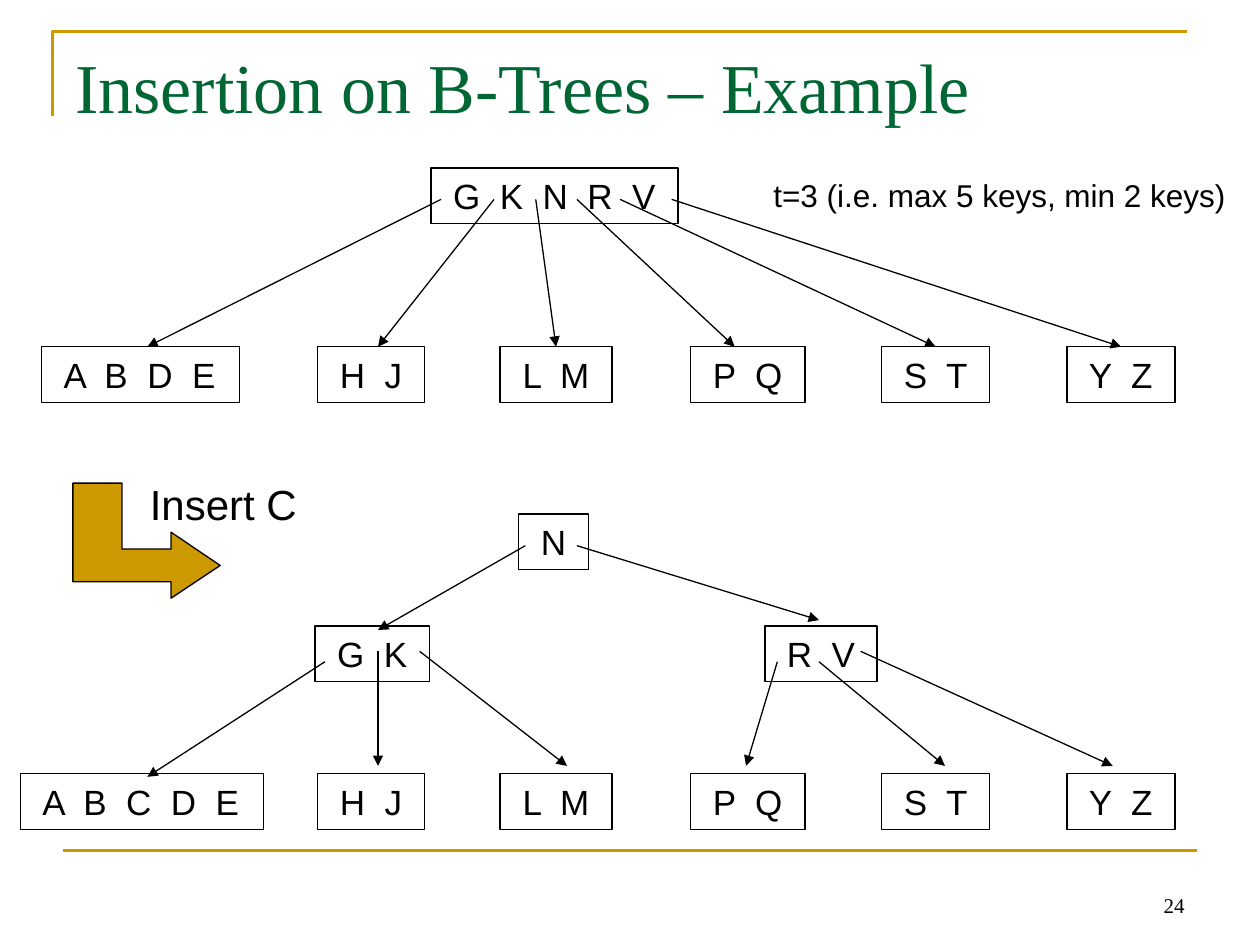
from pptx import Presentation
from pptx.dml.color import RGBColor
from pptx.enum.shapes import MSO_CONNECTOR as Link, MSO_SHAPE as Shape
from pptx.enum.text import MSO_ANCHOR as Anchor, PP_ALIGN as Align
from pptx.oxml.ns import qn
from pptx.util import Cm, Pt
from lxml.etree import SubElement

COLORS = {"ink": "000000", "gold": "CC9900", "green": "006633"}
SANS, SERIF = "Arial", "Times New Roman"
NODE_H = 1.12

# keys, left, width
LEAVES = [("HJ", 6.4, 2.16), ("LM", 10.08, 2.26), ("PQ", 13.92, 2.31),
          ("ST", 17.77, 2.18), ("YZ", 21.51, 2.18)]
OLD_TOP, NEW_TOP = 6.99, 15.6
INNER = [("N", 10.46, 10.36, 1.4), ("GK", 6.35, 12.62, 2.31),
         ("RV", 15.42, 12.62, 2.26)]

# start x, end x, keys of the leaf whose top middle is met
OLD_LINKS = [(8.89, 2.97, None), (9.96, 7.62, None), (10.8, 11.23, "LM"),
             (11.63, 14.81, None), (12.5, 18.85, "ST"), (13.54, 22.66, "YZ")]
NEW_LINKS = [(10.59, 11.0, 7.62, 12.7), (11.63, 11.0, 16.51, 12.5),
             (6.55, 13.34, 2.97, 15.66), (7.62, 13.13, 7.62, 15.44),
             (8.46, 13.13, 11.43, 15.44), (15.67, 13.34, 15.04, 15.44),
             (16.51, 13.34, 19.05, 15.44), (17.35, 13.13, 22.43, 15.44)]

FRAME = [(1.06, 2.33), (1.06, 0.64), (23.92, 0.64)]
BENT = [(1.47, 9.74), (2.46, 9.74), (2.46, 11.07), (3.45, 11.07), (3.45, 10.73),
        (4.44, 11.4), (3.45, 12.06), (3.45, 11.73), (1.47, 11.73)]


def rgb(name):
    return RGBColor.from_string(COLORS[name])


def stroke(line, color="ink", width=0.75):
    line.color.rgb = rgb(color)
    line.width = Pt(width)


def write(shape, text, size, font=SANS, color="ink", align=Align.LEFT):
    frame = shape.text_frame
    frame.text = text
    para = frame.paragraphs[0]
    para.alignment = align
    style = para.runs[0].font
    style.size, style.name = Pt(size), font
    style.color.rgb = rgb(color)
    return frame


def label(shapes, text, box, size, **style):
    area = shapes.add_textbox(*map(Cm, box))
    frame = write(area, text, size, **style)
    frame.word_wrap = True
    return frame


def node(shapes, keys, left, top, width):
    box = shapes.add_shape(Shape.RECTANGLE, *map(Cm, (left, top, width, NODE_H)))
    box.shadow.inherit = False
    box.fill.background()
    stroke(box.line)
    frame = write(box, f" {'  '.join(keys)} ", 20, align=Align.CENTER)
    frame.word_wrap = False
    frame.margin_left = frame.margin_right = 0
    return box


def rule(shapes, x1, y1, x2, y2, color="ink", width=0.75):
    line = shapes.add_connector(Link.STRAIGHT, *map(Cm, (x1, y1, x2, y2)))
    stroke(line.line, color, width)
    SubElement(line._element.spPr, qn("a:effectLst"))
    return line


def arrow(shapes, x1, y1, x2, y2, target=None):
    line = rule(shapes, x1, y1, x2, y2)
    SubElement(line.line._get_or_add_ln(), qn("a:tailEnd"), type="triangle")
    if target is not None:
        line.end_connect(target, 0)


def outline(shapes, points, close):
    (x, y), *rest = [(Cm(a), Cm(b)) for a, b in points]
    pen = shapes.build_freeform(x, y)
    pen.add_line_segments(rest, close=close)
    shape = pen.convert_to_shape()
    shape.shadow.inherit = False
    return shape


def frame_page(shapes):
    corner = outline(shapes, FRAME, False)
    corner.fill.background()
    stroke(corner.line, "gold", 1.5)
    rule(shapes, 1.27, 17.15, 24.13, 17.15, "gold", 1.5)
    number = label(shapes, "24", (18.2, 17.36, 5.93, 1.27), 12,
                   font=SERIF, align=Align.RIGHT)
    number.vertical_anchor = Anchor.BOTTOM
    label(shapes, "Insertion on B-Trees – Example",
          (1.27, 0.76, 22.86, 3.18), 40, font=SERIF, color="green")


def old_tree(shapes):
    node(shapes, "GKNRV", 8.69, 3.39, 4.98)
    node(shapes, "ABDE", 0.84, OLD_TOP, 3.99)
    leaves = {keys: node(shapes, keys, left, OLD_TOP, width)
              for keys, left, width in LEAVES}
    for start, end, keys in OLD_LINKS:
        arrow(shapes, start, 4.02, end, OLD_TOP, leaves.get(keys))


def new_tree(shapes):
    for keys, left, top, width in INNER:
        node(shapes, keys, left, top, width)
    node(shapes, "ABCDE", 0.41, NEW_TOP, 4.9)
    for keys, left, width in LEAVES:
        node(shapes, keys, left, NEW_TOP, width)
    for ends in NEW_LINKS:
        arrow(shapes, *ends)


def main():
    deck = Presentation()
    deck.slide_width, deck.slide_height = Cm(25.4), Cm(19.05)
    shapes = deck.slides.add_slide(deck.slide_layouts[6]).shapes
    frame_page(shapes)
    old_tree(shapes)
    label(shapes, "t=3 (i.e. max 5 keys, min 2 keys)", (15.34, 3.43, 9.8, 1.02), 18)
    new_tree(shapes)
    bent = outline(shapes, BENT, True)
    bent.fill.solid()
    bent.fill.fore_color.rgb = rgb("gold")
    stroke(bent.line)
    label(shapes, "Insert C", (2.77, 9.53, 3.7, 1.27), 24)
    deck.save("out.pptx")


if __name__ == "__main__":
    main()
